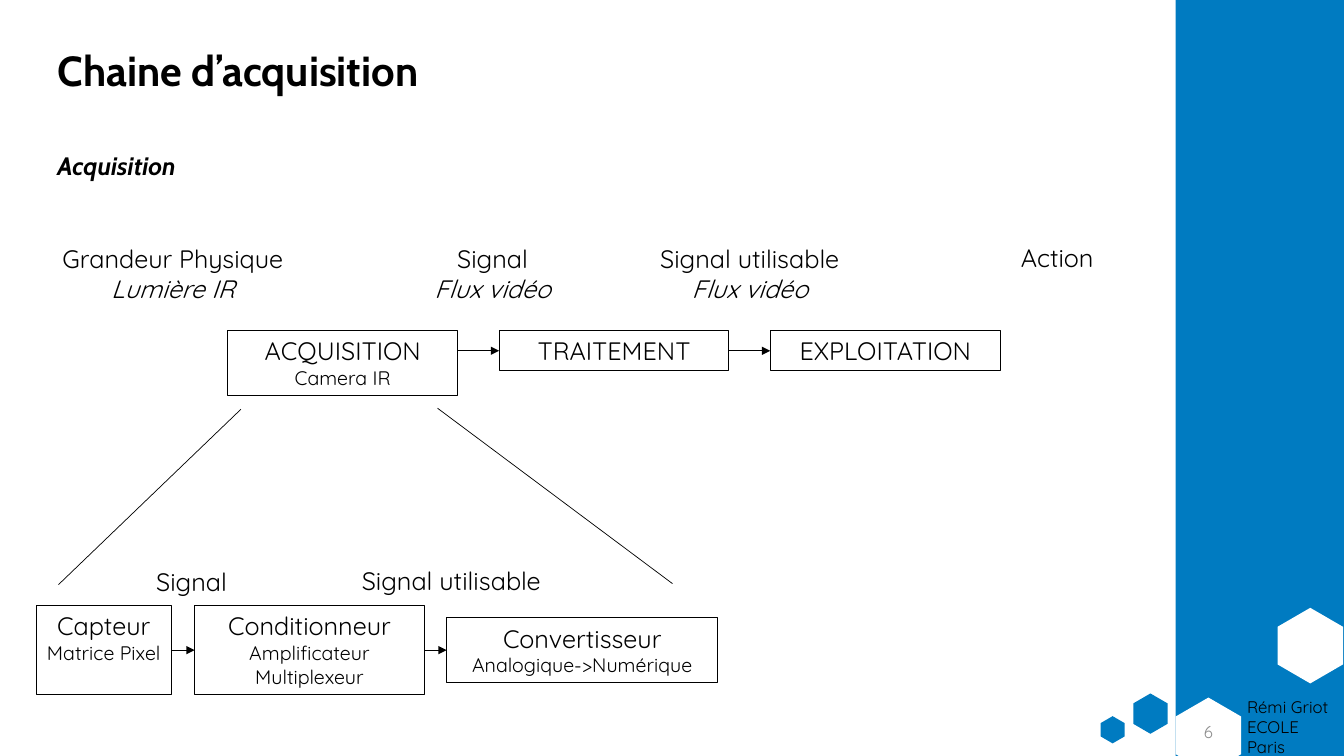
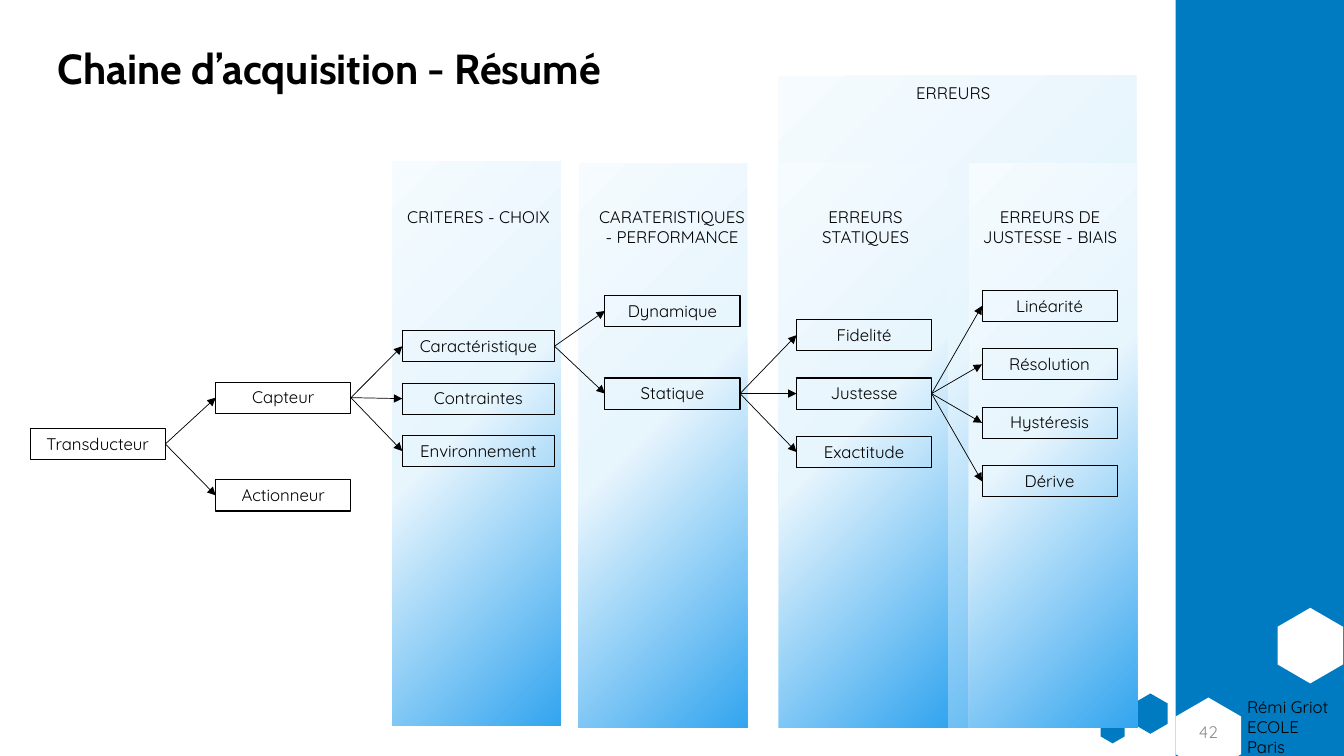
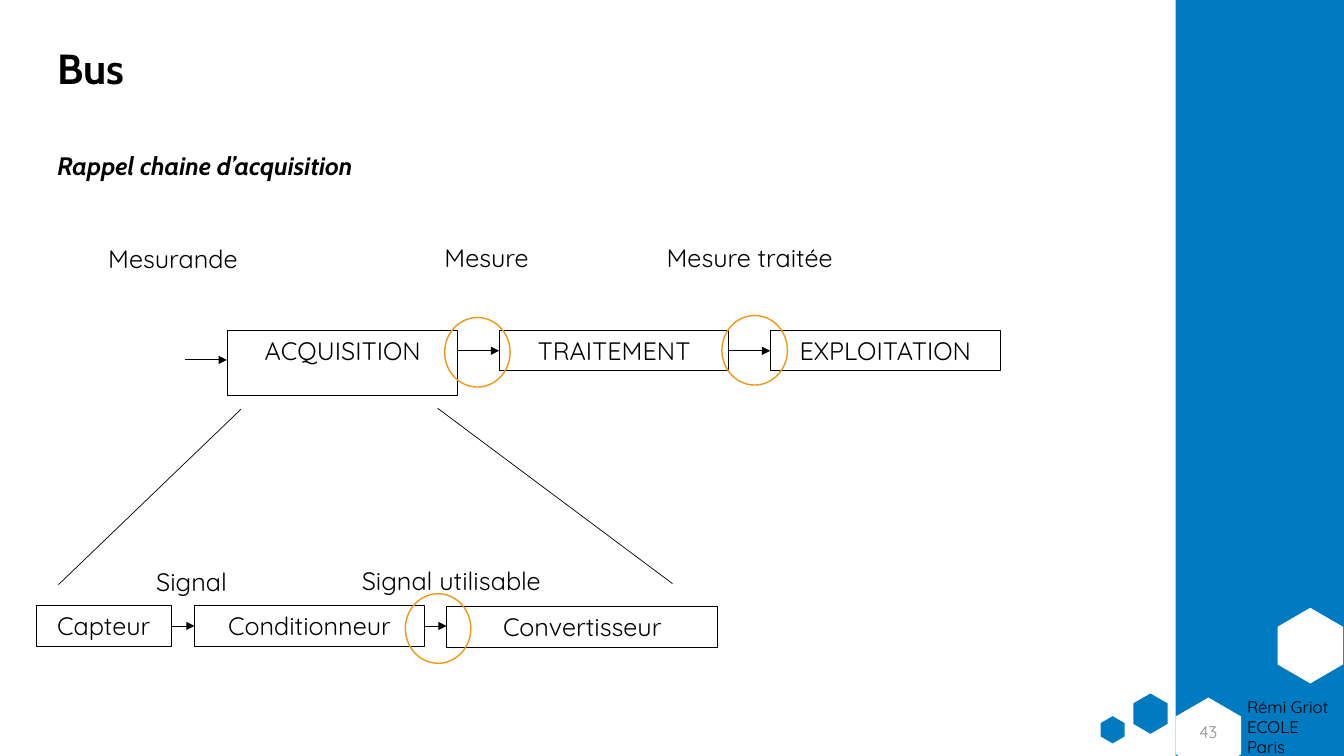
from dataclasses import dataclass
from itertools import pairwise
from typing import Any, NamedTuple

from lxml import etree
from pptx import Presentation
from pptx import slide as sl
from pptx import util as u
from pptx.dml import color as col
from pptx.enum import shapes, text
from pptx.oxml import ns

COLORS = {
    "ink": "000000",
    "blue": "007BC1",
    "white": "FFFFFF",
    "grey": "8C8C8C",
    "orange": "F09715",
}
GRADIENT = {0: "F5FBFE", 46: "E7F5FD", 100: "33A5EF"}
TITLE_FONT = "Cabin"
TEXT_FONT = "Quicksand"
LEFT = text.PP_ALIGN.LEFT
CENTER = text.PP_ALIGN.CENTER
TOP = text.MSO_ANCHOR.TOP
MIDDLE = text.MSO_ANCHOR.MIDDLE
RECTANGLE = shapes.MSO_SHAPE.RECTANGLE
HEXAGON = shapes.MSO_SHAPE.HEXAGON
OVAL = shapes.MSO_SHAPE.OVAL


class Area(NamedTuple):
    left: float
    top: float
    width: float
    height: float

    @property
    def right(self) -> float:
        return self.left + self.width

    @property
    def middle(self) -> float:
        return self.top + self.height / 2


class Line(NamedTuple):
    text: str
    size: int = 18
    italic: bool = False


@dataclass(frozen=True)
class Stage:
    area: Area
    lines: list[Line]


@dataclass(frozen=True)
class Caption:
    area: Area
    lines: list[Line]
    align: Any = CENTER


@dataclass(frozen=True)
class Panel:
    area: Area
    heading: str
    heading_left: float
    heading_top: float = 2


@dataclass(frozen=True)
class Column:
    parent: str
    left: float
    top: float
    pitch: float
    names: list[str]
    width: float = 1.34


HEXAGONS = [
    (Area(12.62, 6.08, 0.75, 0.65), "white"),
    (Area(11.21, 6.91, 0.4, 0.34), "blue"),
    (Area(10.9, 7.12, 0.27, 0.24), "blue"),
    (Area(11.61, 6.97, 0.75, 0.65), "white"),
]

PANELS = [
    Panel(Area(7.72, 0.75, 3.55, 6.47), "ERREURS", 8.58, 0.77),
    Panel(Area(5.74, 1.62, 1.67, 5.6), "CARATERISTIQUES - PERFORMANCE", 5.79),
    Panel(Area(7.73, 1.62, 1.67, 5.6), "ERREURS STATIQUES", 7.71),
    Panel(Area(9.61, 1.62, 1.67, 5.6), "ERREURS DE JUSTESSE - BIAIS", 9.54),
    Panel(Area(3.89, 1.6, 1.67, 5.6), "CRITERES - CHOIX", 3.87),
]

COLUMNS = [
    Column("", 0.3, 4.25, 0, ["Transducteur"]),
    Column("Transducteur", 2.14, 3.79, 0.97, ["Capteur", "Actionneur"]),
    Column("Capteur", 3.99, 3.28, 0.52,
           ["Caractéristique", "Contraintes", "Environnement"], 1.51),
    Column("Caractéristique", 6, 2.93, 0.82, ["Dynamique", "Statique"]),
    Column("Statique", 7.9, 3.17, 0.58, ["Fidelité", "Justesse", "Exactitude"]),
    Column("Justesse", 9.74, 2.88, 0.58,
           ["Linéarité", "Résolution", "Hystéresis", "Dérive"]),
]


def rgb(name: str) -> col.RGBColor:
    return col.RGBColor.from_string(COLORS[name])


def inches(*lengths: float) -> list[u.Length]:
    return [u.Inches(length) for length in lengths]


def write(frame: Any, lines: list[Line], *, font: str = TEXT_FONT, color: str = "ink",
          bold: bool = False, align: Any = CENTER, anchor: Any = TOP,
          spacing: float = 1.0, before: int = 0) -> None:
    frame.word_wrap = True
    frame.auto_size = text.MSO_AUTO_SIZE.NONE
    frame.vertical_anchor = anchor
    for index, line in enumerate(lines):
        para = frame.add_paragraph() if index else frame.paragraphs[0]
        para.alignment = align
        para.line_spacing = spacing
        para.space_before = u.Pt(before)
        span = para.add_run()
        span.text = line.text
        span.font.name = font
        span.font.size = u.Pt(line.size)
        span.font.bold = bold
        span.font.italic = line.italic
        span.font.color.rgb = rgb(color)


def add_text(page: sl.Slide, area: Area, lines: list[Line], **style: Any) -> None:
    box = page.shapes.add_textbox(*inches(*area))
    write(box.text_frame, lines, **style)


def add_shape(page: sl.Slide, kind: Any, area: Area, *, fill: str = "",
              line: str = "", width: float = 0.75) -> Any:
    shape = page.shapes.add_shape(kind, *inches(*area))
    shape.shadow.inherit = False
    if fill:
        shape.fill.solid()
        shape.fill.fore_color.rgb = rgb(fill)
    else:
        shape.fill.background()
    if line:
        shape.line.color.rgb = rgb(line)
        shape.line.width = u.Pt(width)
    else:
        shape.line.fill.background()
    return shape


def add_box(page: sl.Slide, area: Area, lines: list[Line]) -> None:
    box = add_shape(page, RECTANGLE, area, line="ink")
    write(box.text_frame, lines)


def add_line(page: sl.Slide, start: tuple[float, float], end: tuple[float, float],
             arrow: bool = True) -> None:
    line = page.shapes.add_connector(shapes.MSO_CONNECTOR.STRAIGHT, *inches(*start, *end))
    line.line.color.rgb = rgb("ink")
    line.line.width = u.Pt(0.5)
    properties = line._element.spPr
    if arrow:
        outline = properties.find(ns.qn("a:ln"))
        etree.SubElement(outline, ns.qn("a:tailEnd"), type="triangle")
    etree.SubElement(properties, ns.qn("a:effectLst"))


def add_panel(page: sl.Slide, area: Area) -> None:
    panel = add_shape(page, RECTANGLE, area)
    properties = panel._element.spPr
    gradient = etree.Element(ns.qn("a:gradFill"), rotWithShape="1")
    stops = etree.SubElement(gradient, ns.qn("a:gsLst"))
    for position, value in GRADIENT.items():
        stop = etree.SubElement(stops, ns.qn("a:gs"), pos=str(position * 1000))
        etree.SubElement(stop, ns.qn("a:srgbClr"), val=value)
    etree.SubElement(gradient, ns.qn("a:lin"), ang=str(45 * 60000), scaled="0")
    properties.replace(properties.find(ns.qn("a:noFill")), gradient)


def place(holder: Any, area: Area) -> None:
    holder.left, holder.top, holder.width, holder.height = inches(*area)


def add_page(deck: Any, title: str, number: int, *, subtitle: str = "",
             title_top: float = -0.02) -> sl.Slide:
    page = deck.slides.add_slide(deck.slide_layouts[1 if subtitle else 5])
    place(page.shapes.title, Area(0.47, title_top, 10.82, 1.45))
    write(page.shapes.title.text_frame, [Line(title, 30)], font=TITLE_FONT,
          bold=True, align=LEFT, anchor=MIDDLE, spacing=0.9)
    if subtitle:
        body = page.placeholders[1]
        place(body, Area(0.47, 1.47, 8.77, 0.4))
        write(body.text_frame, [Line(subtitle, italic=True)], font=TITLE_FONT,
              bold=True, align=LEFT, spacing=0.9, before=10)
        properties = body.text_frame.paragraphs[0]._p.get_or_add_pPr()
        properties.set("marL", "0")
        properties.set("indent", "0")
        etree.SubElement(properties, ns.qn("a:buNone"))
    add_shape(page, RECTANGLE, Area(11.66, 0, 1.67, 7.5), fill="blue")
    for area, color in HEXAGONS:
        hexagon = add_shape(page, HEXAGON, area, fill=color)
        hexagon.adjustments[0] = 0.29
        hexagon.rotation = 90
    add_text(page, Area(12.27, 6.86, 1.1, 0.5),
             [Line("Rémi Griot", 12), Line("ECOLE Paris", 12)], align=LEFT)
    add_text(page, Area(11.66, 7.06, 0.65, 0.4), [Line(str(number), 12)],
             color="grey", anchor=MIDDLE)
    return page


def draw_row(page: sl.Slide, stages: list[Stage], arrow_y: float) -> None:
    for stage in stages:
        add_box(page, stage.area, stage.lines)
    for before, after in pairwise(stages):
        add_line(page, (before.area.right, arrow_y), (after.area.left, arrow_y))


def draw_chain(page: sl.Slide, captions: list[Caption], acquisition: list[Line],
               details: list[Stage], detail_y: float) -> None:
    signals = [
        Caption(Area(1.45, 5.57, 0.95, 0.4), [Line("Signal")], LEFT),
        Caption(Area(3.49, 5.56, 2.17, 0.4), [Line("Signal utilisable")], LEFT),
    ]
    for caption in captions + signals:
        add_text(page, caption.area, caption.lines, align=caption.align)
    stages = [
        Stage(Area(2.26, 3.28, 2.28, 0.64), acquisition),
        Stage(Area(4.95, 3.28, 2.28, 0.4), [Line("TRAITEMENT")]),
        Stage(Area(7.64, 3.28, 2.28, 0.4), [Line("EXPLOITATION")]),
    ]
    draw_row(page, stages, 3.48)
    draw_row(page, details, detail_y)
    add_line(page, (0.58, 5.8), (2.39, 4.06), arrow=False)
    add_line(page, (6.67, 5.79), (4.34, 4.05), arrow=False)


def build_acquisition(deck: Any) -> None:
    page = add_page(deck, "Chaine d’acquisition", 6, subtitle="Acquisition", title_top=0)
    video = Line("Flux vidéo", italic=True)
    captions = [
        Caption(Area(0.2, 2.36, 3.03, 1.01),
                [Line("Grandeur Physique"), Line("Lumière IR", italic=True)]),
        Caption(Area(4.11, 2.36, 1.55, 0.71), [Line("Signal"), video]),
        Caption(Area(6.09, 2.36, 2.69, 0.71), [Line("Signal utilisable"), video]),
        Caption(Area(9.14, 2.36, 2.69, 0.4), [Line("Action")]),
    ]
    details = [
        Stage(Area(0.36, 6.01, 1.34, 0.88), [Line("Capteur"), Line("Matrice Pixel", 14)]),
        Stage(Area(1.93, 6.01, 2.28, 0.88),
              [Line("Conditionneur"), Line("Amplificateur Multiplexeur", 14)]),
        Stage(Area(4.43, 6.13, 2.69, 0.64),
              [Line("Convertisseur"), Line("Analogique->Numérique", 14)]),
    ]
    draw_chain(page, captions, [Line("ACQUISITION"), Line("Camera IR", 14)], details, 6.45)


def build_summary(deck: Any) -> None:
    page = add_page(deck, "Chaine d’acquisition - Résumé", 42)
    for panel in PANELS:
        add_panel(page, panel.area)
    for panel in PANELS:
        add_text(page, Area(panel.heading_left, panel.heading_top, 1.75, 0.5),
                 [Line(panel.heading, 12)])
    nodes: dict[str, Area] = {}
    for column in COLUMNS:
        for index, name in enumerate(column.names):
            area = Area(column.left, column.top + index * column.pitch, column.width, 0.31)
            nodes[name] = area
            add_box(page, area, [Line(name, 12)])
            if column.parent:
                parent = nodes[column.parent]
                add_line(page, (parent.right, parent.middle), (area.left, area.middle))


def build_bus(deck: Any) -> None:
    page = add_page(deck, "Bus", 43, subtitle="Rappel chaine d’acquisition")
    captions = [
        Caption(Area(0.2, 2.36, 3.03, 0.71), [Line("Mesurande")]),
        Caption(Area(4.31, 2.36, 1.09, 0.4), [Line("Mesure")], LEFT),
        Caption(Area(6.09, 2.36, 2.69, 0.4), [Line("Mesure traitée")]),
    ]
    details = [
        Stage(Area(0.36, 6.01, 1.34, 0.4), [Line("Capteur")]),
        Stage(Area(1.93, 6.01, 2.28, 0.4), [Line("Conditionneur")]),
        Stage(Area(4.43, 6.02, 2.69, 0.4), [Line("Convertisseur")]),
    ]
    draw_chain(page, captions, [Line("ACQUISITION")], details, 6.21)
    add_line(page, (1.84, 3.57), (2.25, 3.57))
    for left, top in [(4.41, 3.15), (4.02, 5.89), (7.16, 3.13)]:
        add_shape(page, OVAL, Area(left, top, 0.65, 0.69), line="orange", width=1)


def main() -> None:
    deck = Presentation()
    deck.slide_width, deck.slide_height = inches(13.33, 7.5)
    build_acquisition(deck)
    build_summary(deck)
    build_bus(deck)
    deck.save("out.pptx")


if __name__ == "__main__":
    main()
